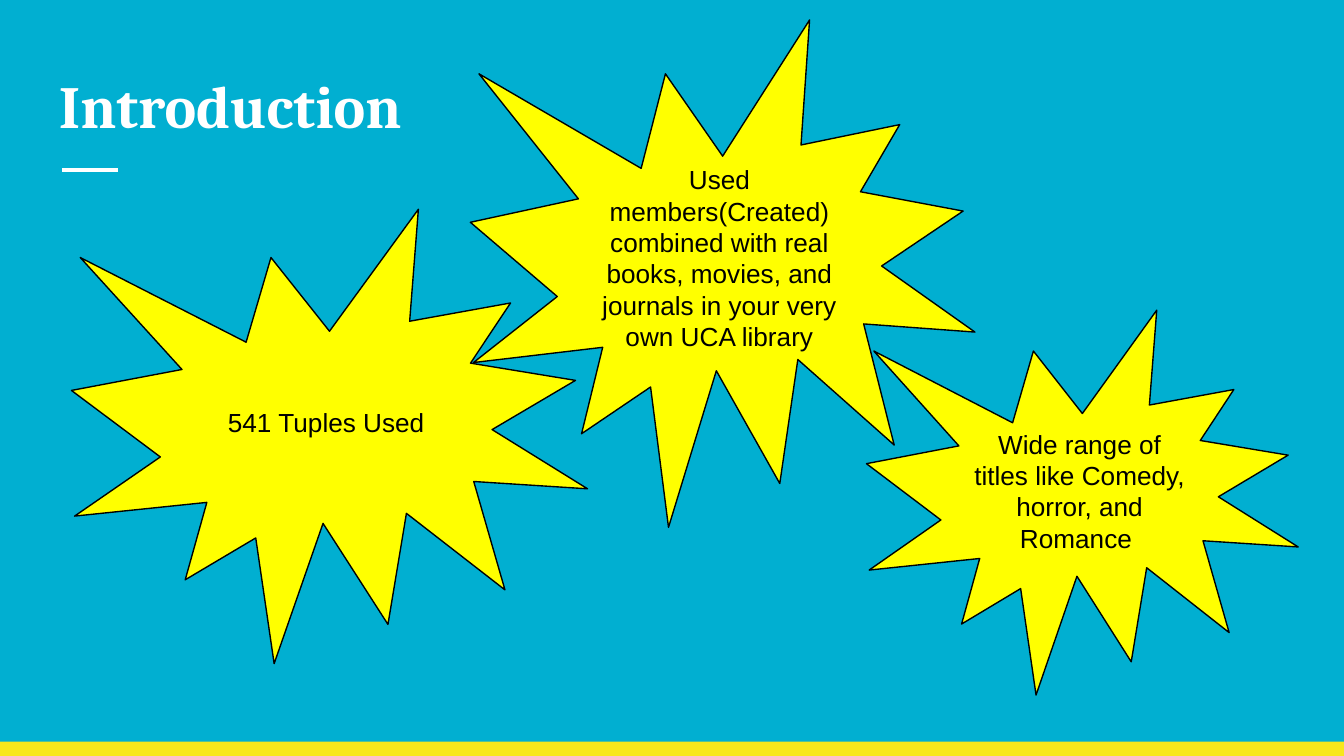
from lxml.etree import SubElement
from pptx import Presentation
from pptx.dml.color import RGBColor
from pptx.enum.shapes import MSO_CONNECTOR as Connector, MSO_SHAPE as Shape
from pptx.enum.text import MSO_ANCHOR as Anchor, PP_ALIGN as Align
from pptx.oxml.ns import qn
from pptx.util import Pt

COLORS = {
    "background": "01AFD1",
    "footer": "F8E71C",
    "burst": "FFFF00",
    "outline": "000000",
    "text": "000000",
    "title": "FFFFFF",
}
WIDTH, HEIGHT = 720, 405
FOOTER_HEIGHT = 7.7
INSET = 7.2

# Left, top, width, height and text of each burst
BURSTS = [
    (38.3, 112.1, 276.5, 243.4, "541 Tuples Used"),
    (252, 10.7, 270.3, 271.8,
     "Used members(Created) combined with real books, movies, and "
     "journals in your very own UCA library"),
    (464.2, 166.2, 231.3, 206.2,
     "Wide range of titles like Comedy, horror, and Romance "),
]


def color(name):
    return RGBColor.from_string(COLORS[name])


def set_text(shape, text, font_name, size, color_name,
             bold=False, align=Align.LEFT, anchor=Anchor.TOP):
    frame = shape.text_frame
    frame.word_wrap = True
    frame.vertical_anchor = anchor
    frame.margin_left = frame.margin_right = Pt(INSET)
    frame.margin_top = frame.margin_bottom = Pt(INSET)
    para = frame.paragraphs[0]
    para.text = text
    para.alignment = align
    para.font.name = font_name
    para.font.size = Pt(size)
    para.font.bold = bold
    para.font.color.rgb = color(color_name)


def add_filled(page, kind, left, top, width, height, fill):
    shape = page.shapes.add_shape(kind, Pt(left), Pt(top), Pt(width), Pt(height))
    shape.shadow.inherit = False
    shape.fill.solid()
    shape.fill.fore_color.rgb = color(fill)
    shape.line.fill.background()
    return shape


def add_burst(page, left, top, width, height, text):
    burst = add_filled(page, Shape.EXPLOSION1, left, top, width, height, "burst")
    burst.line.color.rgb = color("outline")
    burst.line.width = Pt(0.75)
    set_text(burst, text, "Arial", 14, "text",
             align=Align.CENTER, anchor=Anchor.MIDDLE)


def add_rule(page, left, right, y):
    rule = page.shapes.add_connector(
        Connector.STRAIGHT, Pt(left), Pt(y), Pt(right), Pt(y))
    rule.line.color.rgb = color("title")
    rule.line.width = Pt(2.25)
    SubElement(rule._element.spPr, qn("a:effectLst"))


def add_title(page, text):
    box = page.shapes.add_textbox(Pt(24.5), Pt(29.5), Pt(671), Pt(51.1))
    set_text(box, text, "Cambria", 32, "title", bold=True)


def main():
    deck = Presentation()
    deck.slide_width, deck.slide_height = Pt(WIDTH), Pt(HEIGHT)
    page = deck.slides.add_slide(deck.slide_layouts[6])
    page.background.fill.solid()
    page.background.fill.fore_color.rgb = color("background")

    # Footer band, title and its short rule
    add_filled(page, Shape.RECTANGLE, 0, HEIGHT - FOOTER_HEIGHT,
               WIDTH, FOOTER_HEIGHT, "footer")
    add_rule(page, 33.2, 63.2, 91)
    add_title(page, "Introduction")

    # Bursts, from back to front
    for burst in BURSTS:
        add_burst(page, *burst)

    deck.save("out.pptx")


if __name__ == "__main__":
    main()
